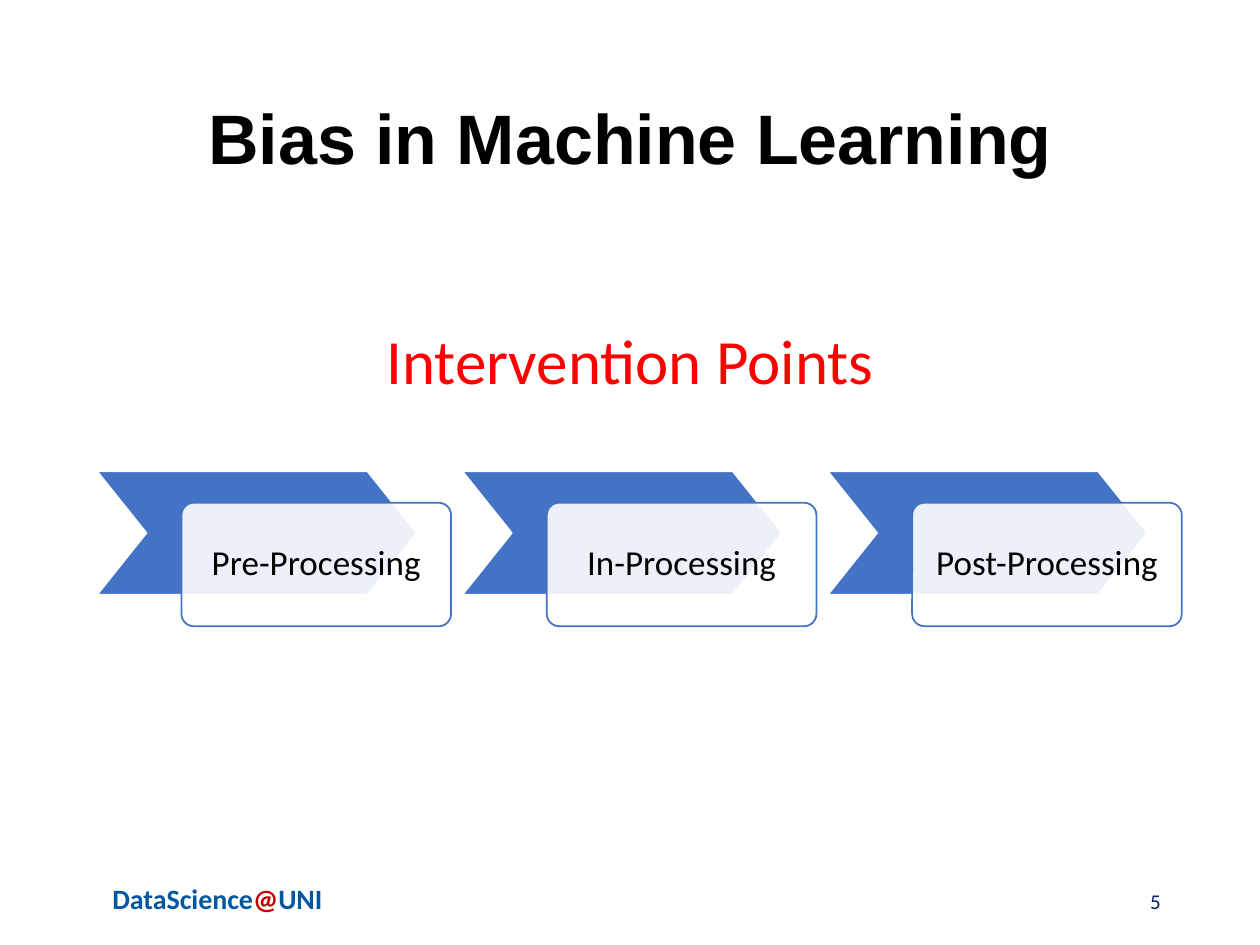
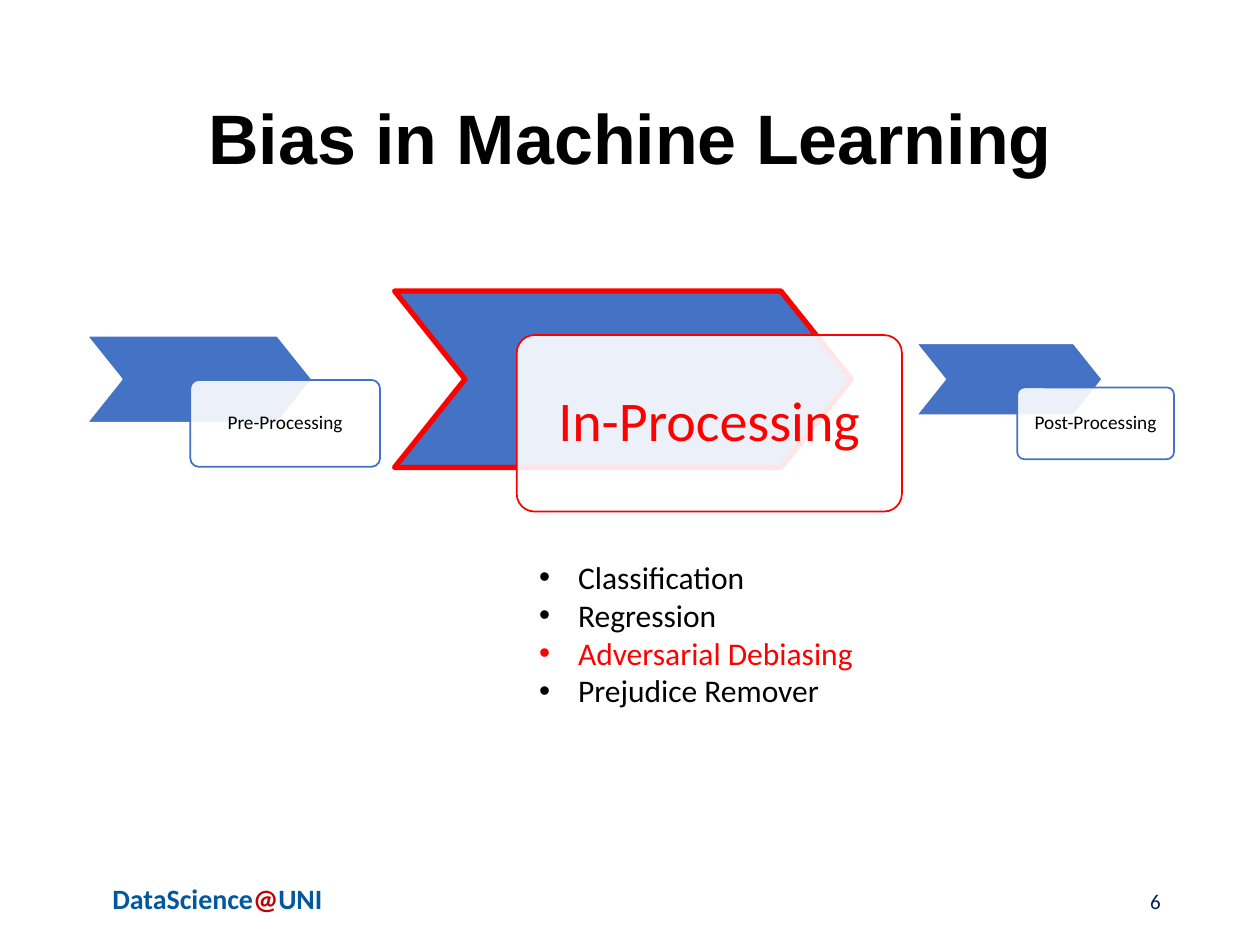
from dataclasses import dataclass

from lxml.etree import SubElement
from pptx import Presentation
from pptx.dml.color import RGBColor
from pptx.enum.shapes import MSO_SHAPE as Shape
from pptx.enum.text import MSO_ANCHOR as Anchor, PP_ALIGN as Align
from pptx.oxml.ns import qn
from pptx.util import Emu, Inches, Pt

WIDTH, HEIGHT = Inches(10), Inches(7.5)
COL, ROW = WIDTH / 100, HEIGHT / 75  # grid of 100 columns by 75 rows

WHITE = RGBColor(0xFF, 0xFF, 0xFF)
BLACK = RGBColor(0x00, 0x00, 0x00)
RED = RGBColor(0xFF, 0x00, 0x00)
BLUE = RGBColor(0x44, 0x72, 0xC4)
NAVY = RGBColor(0x00, 0x20, 0x60)
BRAND_BLUE = RGBColor(0x02, 0x57, 0xA1)
BRAND_RED = RGBColor(0xC0, 0x00, 0x00)

CHEVRON_RATIO = 2.59  # chevron width to its height
CARD_RATIO = 0.843    # card width to chevron width


@dataclass
class Box:
    left: float
    top: float
    width: float
    height: float

    def place(self):
        return [Emu(round(length * unit)) for length, unit in
                zip((self.left, self.top, self.width, self.height), (COL, ROW, COL, ROW))]


@dataclass
class Step:
    name: str
    height: float  # rows
    shift: float   # columns from chevron to card
    drop: float    # rows from chevron to card
    size: int
    active: bool = False


def style(target, formats):
    for name, value in formats.items():
        setattr(target, name, value)


def write(para, spans, size, font="Calibri", bold=False, **layout):
    """Fill a paragraph with (text, colour) spans."""
    style(para, layout)
    for text, color in spans:
        span = para.add_run()
        span.text = text
        style(span.font, {"name": font, "size": Pt(size), "bold": bold})
        span.font.color.rgb = color


def add_text(page, box, spans, size, anchor=Anchor.TOP, **layout):
    frame = page.shapes.add_textbox(*box.place()).text_frame
    style(frame, {"word_wrap": True, "vertical_anchor": anchor})
    write(frame.paragraphs[0], spans, size, **layout)


def add_shape(page, kind, box, adjust, fill, line, weight):
    shape = page.shapes.add_shape(kind, *box.place())
    shape.shadow.inherit = False
    shape.adjustments[0] = adjust
    shape.fill.solid()
    shape.fill.fore_color.rgb = fill
    shape.line.color.rgb = line
    shape.line.width = Pt(weight)
    return shape


def add_frame(deck, number):
    """Start a page with the shared title and footer."""
    page = deck.slides.add_slide(deck.slide_layouts[6])
    add_text(page, Box(6.9, 69.5, 20.7, 5.3),
             [("DataScience", BRAND_BLUE), ("@", BRAND_RED), ("UNI", BRAND_BLUE)],
             16, bold=True, alignment=Align.CENTER)
    add_text(page, Box(6.9, 4, 86.2, 14.5), [("Bias in Machine Learning", BLACK)], 40,
             Anchor.MIDDLE, font="Arial", bold=True, alignment=Align.CENTER, line_spacing=0.9)
    add_text(page, Box(70.6, 69.5, 22.5, 4), [(str(number), NAVY)], 12,
             Anchor.MIDDLE, alignment=Align.RIGHT)
    return page


def add_step(page, box, step):
    """Draw a chevron filling the box, with a translucent card over its corner."""
    add_shape(page, Shape.CHEVRON, box, 0.4, BLUE,
              RED if step.active else WHITE, 3 if step.active else 1)
    card_box = Box(box.left + step.shift, box.top + step.drop,
                   box.width * CARD_RATIO, box.height)
    card = add_shape(page, Shape.ROUNDED_RECTANGLE, card_box, 0.1, WHITE,
                     RED if step.active else BLUE, 1)
    fill_color = card.fill._xPr.find(qn("a:solidFill"))[0]
    SubElement(fill_color, qn("a:alpha"), val="90000")
    inset = Inches(0.05)
    style(card.text_frame, {"word_wrap": True, "vertical_anchor": Anchor.MIDDLE,
                            "margin_left": inset, "margin_right": inset})
    write(card.text_frame.paragraphs[0], [(step.name, RED if step.active else BLACK)],
          step.size, alignment=Align.CENTER, line_spacing=0.9)
    return card_box.left + card_box.width


def add_process(page, left, middle, gap, steps):
    """Lay steps from left to right, chevrons centred on one row."""
    for step in steps:
        box = Box(left, middle - step.height / 2, step.height * CHEVRON_RATIO, step.height)
        left = add_step(page, box, step) + gap


def add_bullets(page, box, items):
    frame = page.shapes.add_textbox(*box.place()).text_frame
    frame.word_wrap = True
    for index, item in enumerate(items):
        para = frame.add_paragraph() if index else frame.paragraphs[0]
        write(para, [item], 18)
        props = para._p.get_or_add_pPr()
        indent = Inches(0.31)
        props.set("marL", str(indent))
        props.set("indent", str(-indent))
        SubElement(props, qn("a:buFont"), typeface="Arial")
        SubElement(props, qn("a:buChar"), char="•")


def build_overview(deck):
    page = add_frame(deck, 5)
    names = ("Pre-Processing", "In-Processing", "Post-Processing")
    add_process(page, 7.7, 42.3, 0.9, [Step(name, 9.8, 6.7, 2.5, 20) for name in names])
    add_text(page, Box(29.5, 25, 41, 7.1), [("Intervention Points", RED)], 36,
             alignment=Align.CENTER)


def build_in_processing(deck):
    page = add_frame(deck, 6)
    add_process(page, 6.9, 30.1, 1.15, [
        Step("Pre-Processing", 6.9, 8.2, 3.5, 11),
        Step("In-Processing", 14, 9.7, 3.5, 32, active=True),
        Step("Post-Processing", 5.7, 8, 3.5, 11),
    ])
    add_bullets(page, Box(41.8, 43.8, 30.1, 16.2), [
        ("Classification", BLACK), ("Regression", BLACK),
        ("Adversarial Debiasing", RED), ("Prejudice Remover", BLACK),
    ])


def main():
    deck = Presentation()
    style(deck, {"slide_width": WIDTH, "slide_height": HEIGHT})
    build_overview(deck)
    build_in_processing(deck)
    deck.save("out.pptx")


if __name__ == "__main__":
    main()
